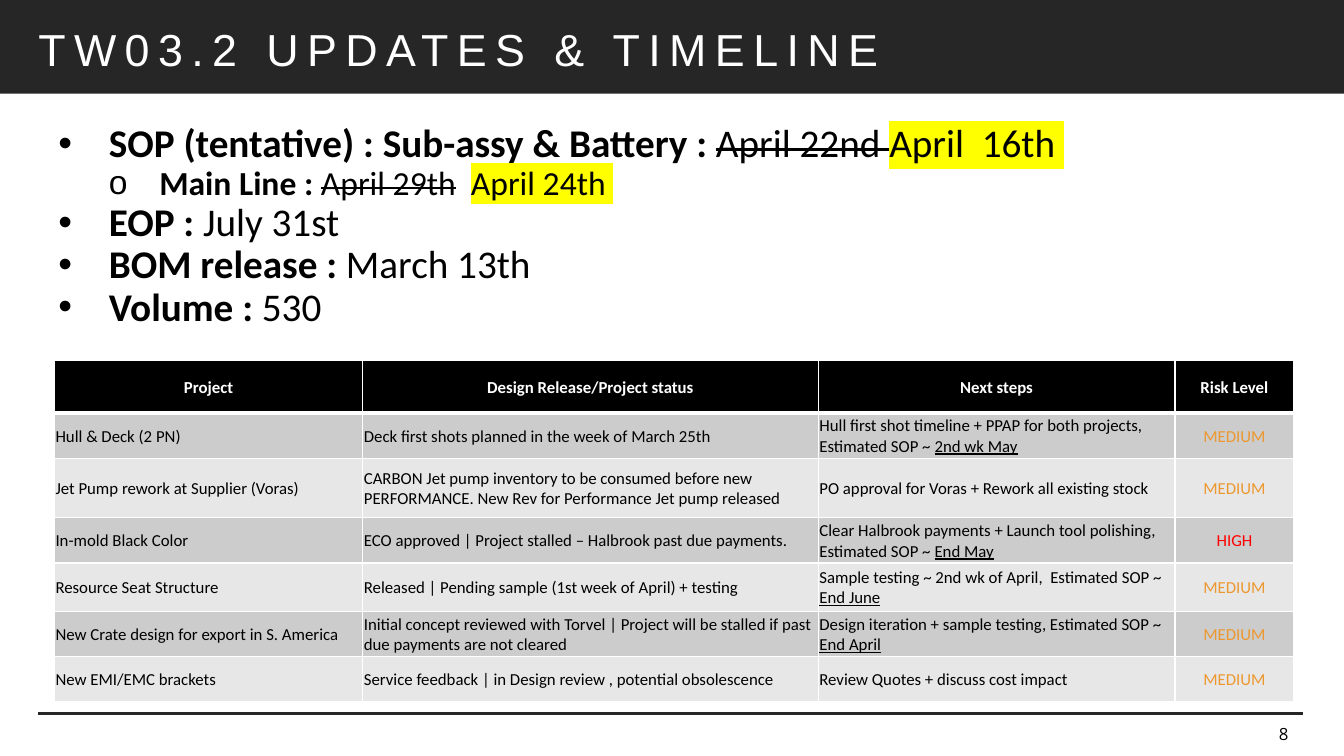
from lxml import etree
from pptx import Presentation
from pptx.dml.color import RGBColor
from pptx.enum.shapes import MSO_CONNECTOR, MSO_SHAPE
from pptx.enum.text import MSO_ANCHOR, MSO_AUTO_SIZE, PP_ALIGN
from pptx.oxml.ns import qn
from pptx.util import Cm, Pt

LINE = MSO_CONNECTOR.STRAIGHT
RECT = MSO_SHAPE.RECTANGLE
MIDDLE = MSO_ANCHOR.MIDDLE
TOP = MSO_ANCHOR.TOP
FIXED = MSO_AUTO_SIZE.NONE
LEFT, CENTER, RIGHT = PP_ALIGN.LEFT, PP_ALIGN.CENTER, PP_ALIGN.RIGHT

BLACK = RGBColor(0x00, 0x00, 0x00)
WHITE = RGBColor(0xFF, 0xFF, 0xFF)
DARK = RGBColor(0x26, 0x26, 0x26)
GREY = RGBColor(0xCC, 0xCC, 0xCC)
PALE = RGBColor(0xE7, 0xE7, 0xE7)
AMBER = RGBColor(0xED, 0x98, 0x2F)
RED = RGBColor(0xFF, 0x00, 0x00)
YELLOW = RGBColor(0xFF, 0xFF, 0x00)

RISKS = {"MEDIUM": AMBER, "HIGH": RED}
BOLD = {"bold": True}
OLD = {"strike": True}
NEW = {"mark": YELLOW}

POINTS = [
    (0, [("SOP (tentative) : Sub-assy & Battery : ", BOLD),
         ("April 22nd ", OLD), ("April  16th ", NEW)]),
    (1, [("Main Line : ", BOLD), ("April 29th", OLD),
         ("  ", {}), ("April 24th ", NEW)]),
    (0, [("EOP : ", BOLD), ("July 31st", {})]),
    (0, [("BOM release : ", BOLD), ("March 13th", {})]),
    (0, [("Volume : ", BOLD), ("530", {})]),
]

HEADS = ["Project", "Design Release/Project status", "Next steps", "Risk Level"]
ROWS = [
    ("Hull & Deck (2 PN)",
     "Deck first shots planned in the week of March 25th",
     "Hull first shot timeline + PPAP for both projects, Estimated SOP ~ ",
     "2nd wk May", "MEDIUM"),
    ("Jet Pump rework at Supplier (Voras)",
     "CARBON Jet pump inventory to be consumed before new PERFORMANCE. "
     "New Rev for Performance Jet pump released",
     "PO approval for Voras + Rework all existing stock", "", "MEDIUM"),
    ("In-mold Black Color",
     "ECO approved | Project stalled – Halbrook past due payments.",
     "Clear Halbrook payments + Launch tool polishing, Estimated SOP ~ ",
     "End May", "HIGH"),
    ("Resource Seat Structure",
     "Released | Pending sample (1st week of April) + testing",
     "Sample testing ~ 2nd wk of April,  Estimated SOP ~ ",
     "End June", "MEDIUM"),
    ("New Crate design for export in S. America",
     "Initial concept reviewed with Torvel | Project will be stalled if past "
     "due payments are not cleared",
     "Design iteration + sample testing, Estimated SOP ~ ",
     "End April", "MEDIUM"),
    ("New EMI/EMC brackets",
     "Service feedback | in Design review , potential obsolescence",
     "Review Quotes + discuss cost impact", "", "MEDIUM"),
]
WIDTHS = [7.77, 11.48, 8.99, 3]
HEIGHTS = [1.32, 1.14, 1.5, 1.14, 1.22, 1.14, 1.14]


def put(par, text, size=12, color=BLACK, face="Calibri", bold=False,
        under=False, strike=False, mark=None, space=0):
    run = par.add_run()
    run.text = text
    font = run.font
    font.size = Pt(size)
    font.bold = bold
    font.underline = under
    font.color.rgb = color
    props = run._r.get_or_add_rPr()
    if strike:
        props.set("strike", "sngStrike")
    if space:
        props.set("spc", str(space * 100))
    if mark:
        light = etree.SubElement(props, qn("a:highlight"))
        etree.SubElement(light, qn("a:srgbClr"), val=str(mark))
    font.name = face


def place(shape, left, top, width, height):
    shape.left, shape.top = Cm(left), Cm(top)
    shape.width, shape.height = Cm(width), Cm(height)


def add_bar(slide):
    bar = slide.shapes.add_shape(RECT, 0, 0, Cm(33.87), Cm(2.36))
    bar.shadow.inherit = False
    bar.fill.solid()
    bar.fill.fore_color.rgb = DARK
    bar.line.fill.background()
    return bar


def add_rule(slide):
    rule = slide.shapes.add_connector(LINE, Cm(0.97), Cm(17.98), Cm(32.84), Cm(17.98))
    rule.line.color.rgb = DARK
    rule.line.width = Pt(1.5)
    etree.SubElement(rule.element.spPr, qn("a:effectLst"))
    return rule


def add_page(slide, text):
    box = slide.shapes.add_textbox(Cm(25.1), Cm(17.98), Cm(7.62), Cm(1.02))
    frame = box.text_frame
    frame.word_wrap = True
    frame.vertical_anchor = MIDDLE
    par = frame.paragraphs[0]
    par.alignment = RIGHT
    put(par, text, face="Open Sans")


def set_title(title, text):
    place(title, 0.71, 0, 29.54, 2.62)
    frame = title.text_frame
    frame.auto_size = FIXED
    frame.vertical_anchor = MIDDLE
    par = frame.paragraphs[0]
    par.alignment = LEFT
    par.line_spacing = 0.9
    put(par, text, size=32, color=WHITE, face="Arial", space=6)


def set_list(body):
    place(body, 1.07, 3, 31.75, 5.77)
    frame = body.text_frame
    frame.auto_size = FIXED
    frame.vertical_anchor = TOP
    for i, (level, parts) in enumerate(POINTS):
        par = frame.add_paragraph() if i else frame.paragraphs[0]
        par.level = level
        par.alignment = LEFT
        par.line_spacing = 0.9
        par.space_before = par.space_after = Pt(0)
        props = par._p.get_or_add_pPr()
        props.set("marL", str(Cm(1.42 + 1.27 * level)))
        props.set("indent", str(Cm(-1.27)))
        etree.SubElement(props, qn("a:buFont"), typeface="Arial")
        etree.SubElement(props, qn("a:buChar"), char="•o"[level])
        for text, style in parts:
            put(par, text, size=28 - 4 * level, **style)


def set_cell(cell, fill, parts, align=LEFT, top=1, base=1):
    cell.margin_left = cell.margin_right = cell.margin_top = Cm(0.03)
    cell.margin_bottom = 0
    cell.vertical_anchor = MIDDLE
    props = cell._tc.get_or_add_tcPr()
    for side, width in zip("LRTB", (1, 1, top, base)):
        edge = etree.SubElement(props, qn("a:ln" + side), w=str(Pt(width)))
        paint = etree.SubElement(edge, qn("a:solidFill"))
        etree.SubElement(paint, qn("a:srgbClr"), val=str(WHITE))
    cell.fill.solid()
    cell.fill.fore_color.rgb = fill
    par = cell.text_frame.paragraphs[0]
    par.alignment = align
    for text, style in parts:
        if text:
            put(par, text, **style)


def add_grid(slide):
    grid = slide.shapes.add_table(
        len(HEIGHTS), len(WIDTHS), Cm(1.37), Cm(9.09),
        Cm(sum(WIDTHS)), Cm(sum(HEIGHTS))).table
    for col, width in zip(grid.columns, WIDTHS):
        col.width = Cm(width)
    for row, height in zip(grid.rows, HEIGHTS):
        row.height = Cm(height)
    for c, head in enumerate(HEADS):
        style = {"color": WHITE, "bold": True}
        set_cell(grid.cell(0, c), BLACK, [(head, style)], CENTER, base=3)
    for r, (name, state, step, date, risk) in enumerate(ROWS, 1):
        fill = GREY if r % 2 else PALE
        top = 3 if r == 1 else 1
        cells = [[(name, {})], [(state, {})],
                 [(step, {}), (date, {"under": True})],
                 [(risk, {"color": RISKS[risk]})]]
        for c, parts in enumerate(cells):
            align = CENTER if c == 3 else LEFT
            set_cell(grid.cell(r, c), fill, parts, align, top)


def main():
    deck = Presentation()
    deck.slide_width, deck.slide_height = Cm(33.87), Cm(19.05)
    slide = deck.slides.add_slide(deck.slide_layouts[1])
    title, body = slide.placeholders
    for back in (add_bar(slide), add_rule(slide)):
        title.element.addprevious(back.element)
    add_page(slide, "8")
    set_list(body)
    set_title(title, "TW03.2 UPDATES & TIMELINE")
    add_grid(slide)
    deck.save("out.pptx")


if __name__ == "__main__":
    main()
